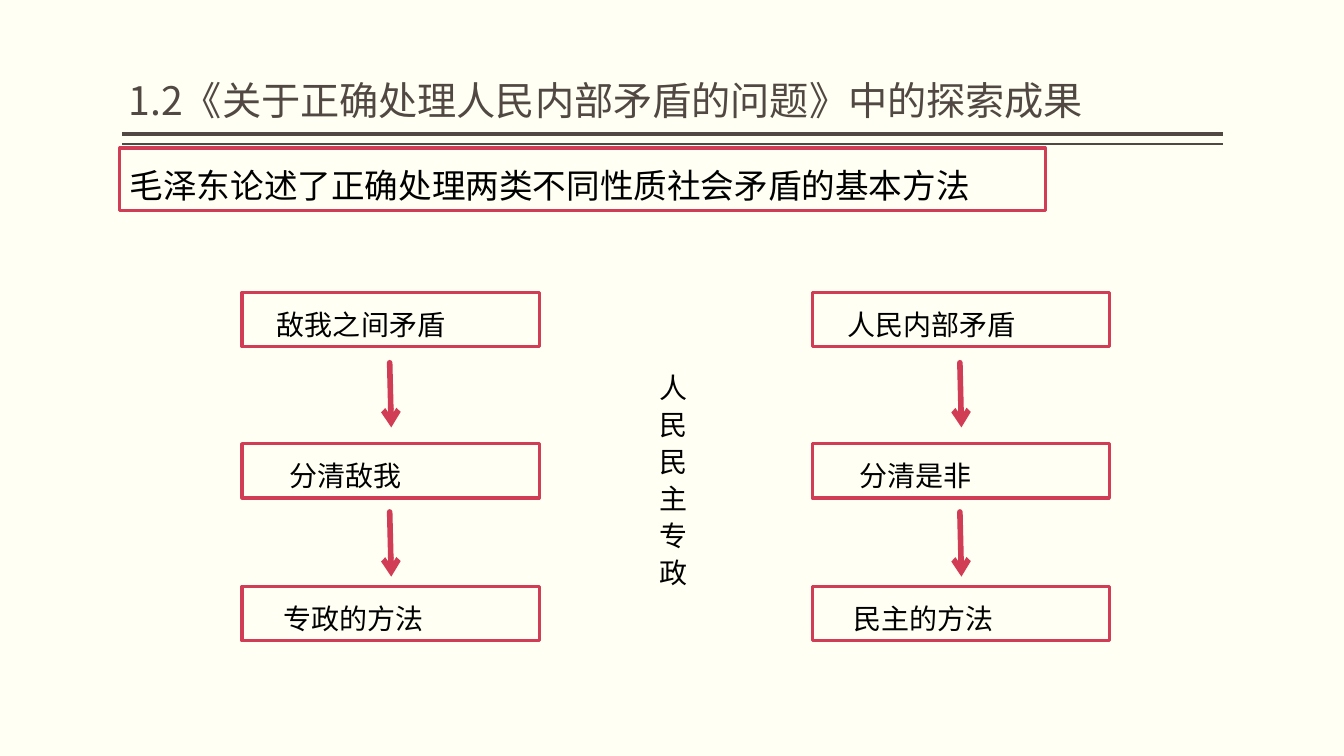
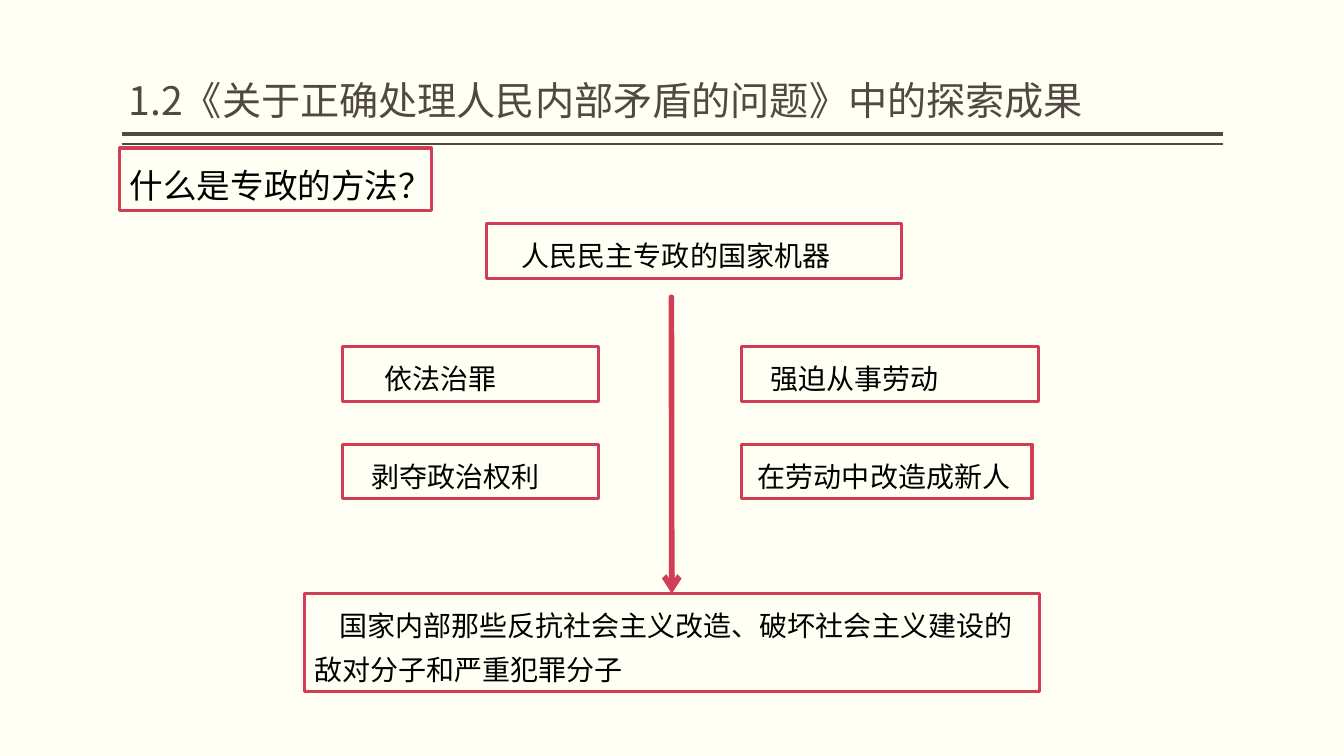
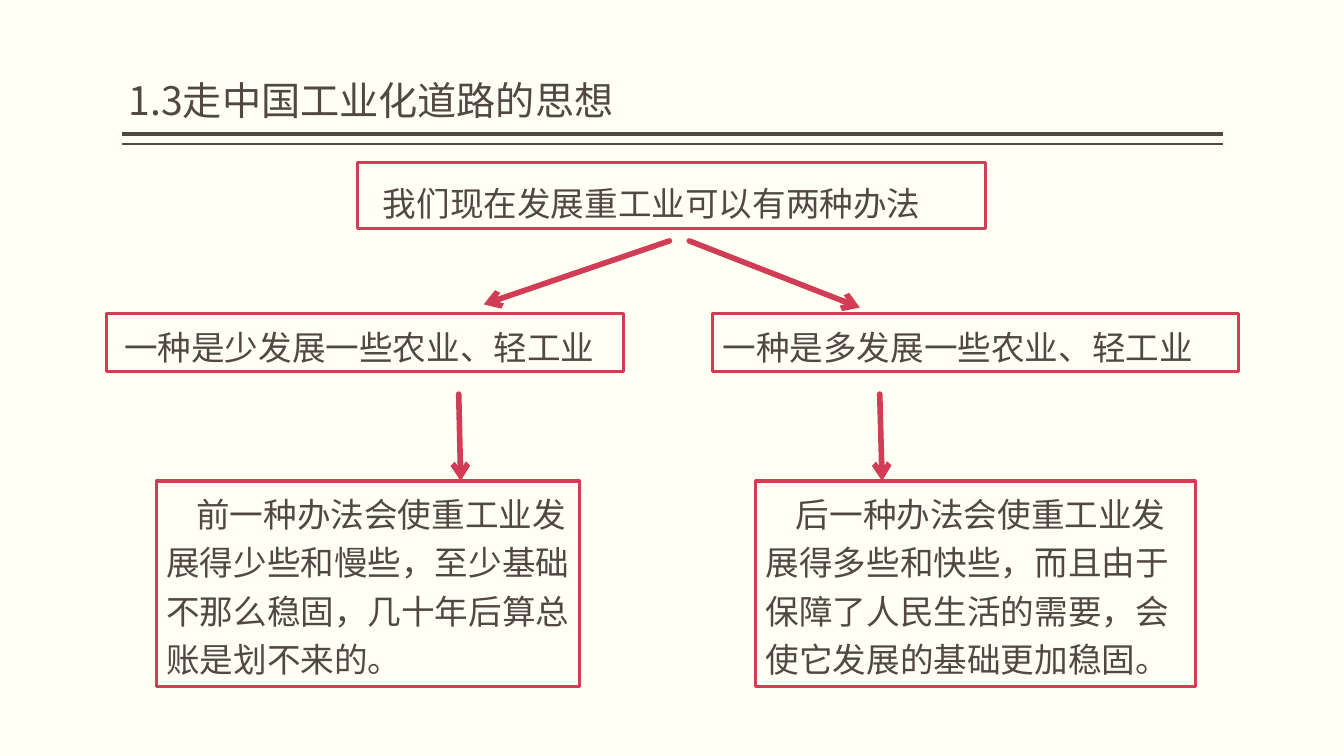
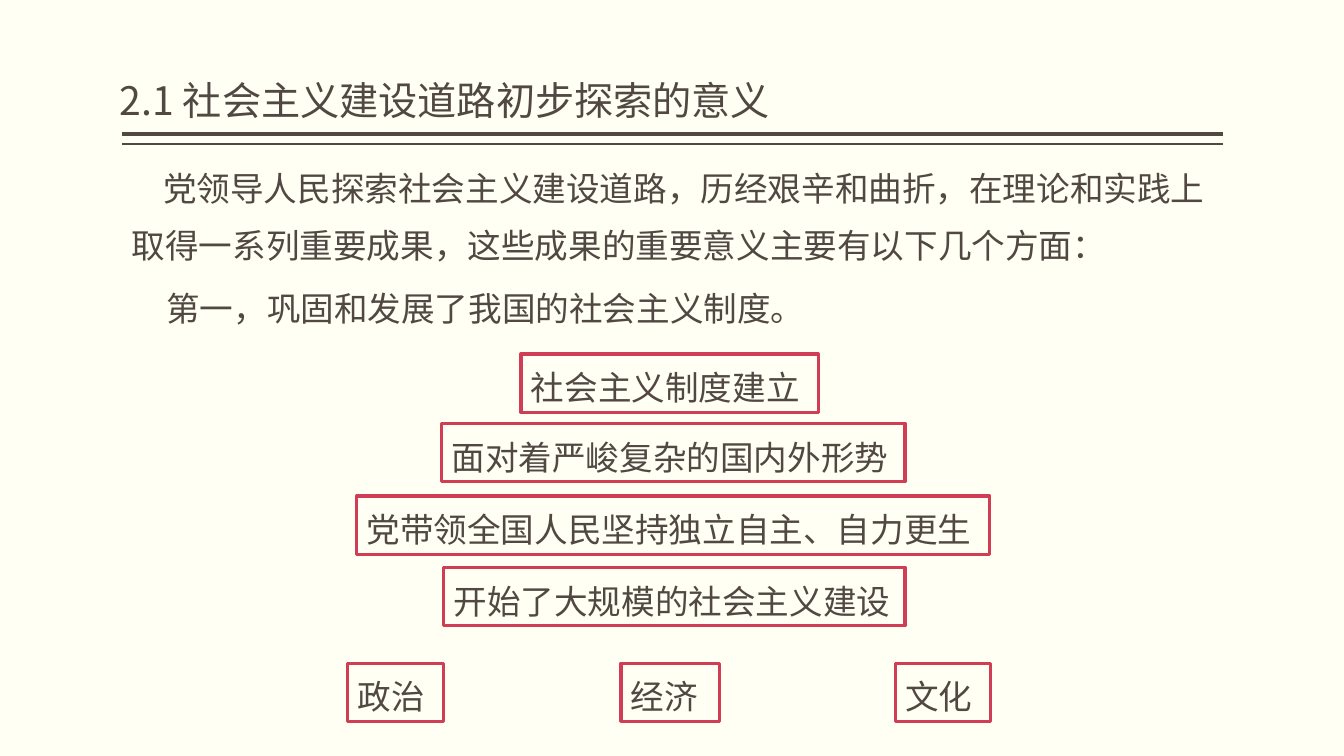
from dataclasses import dataclass

from lxml.etree import SubElement
from pptx import Presentation
from pptx.dml.color import RGBColor
from pptx.enum.shapes import MSO_CONNECTOR, MSO_SHAPE
from pptx.enum.text import MSO_ANCHOR, MSO_AUTO_SIZE, PP_ALIGN
from pptx.oxml.ns import qn
from pptx.util import Cm, Pt


@dataclass(frozen=True)
class Theme:
    paper = RGBColor(0xFF, 0xFF, 0xF3)
    brown = RGBColor(0x51, 0x48, 0x43)
    red = RGBColor(0xD1, 0x3D, 0x55)
    black = RGBColor(0, 0, 0)
    latin = "Arial"
    asian = "Noto Sans CJK SC"
    title = Pt(28)
    large = Pt(24)
    small = Pt(20)
    frame = Pt(2.25)
    arrow = Pt(4)


theme = Theme()


def label(slide, text, place, size=theme.large, color=theme.brown,
          spacing=1.2, indent=0, framed=True):
    """Add text at place (left, top, width, height in cm), in a red frame if framed."""
    place = [Cm(n) for n in place]
    if framed:
        box = slide.shapes.add_shape(MSO_SHAPE.RECTANGLE, *place)
        box.shadow.inherit = False
        box.fill.background()
        box.line.color.rgb = theme.red
        box.line.width = theme.frame
    else:
        box = slide.shapes.add_textbox(*place)
    frame = box.text_frame
    frame.text = text
    frame.word_wrap = True
    frame.vertical_anchor = MSO_ANCHOR.TOP
    para = frame.paragraphs[0]
    para.alignment = PP_ALIGN.LEFT
    para.line_spacing = spacing
    props = para._p.get_or_add_pPr()
    props.set("marL", "0")
    props.set("indent", str(Cm(indent)))
    font = para.runs[0].font
    font.size = size
    font.color.rgb = color
    font.name = theme.latin
    SubElement(para.runs[0]._r.rPr, qn("a:ea"), typeface=theme.asian)
    return box


def stroke(slide, start, end, color=theme.red, width=theme.arrow, head=True):
    """Add a straight line between two points in cm, with an arrowhead if head."""
    line = slide.shapes.add_connector(
        MSO_CONNECTOR.STRAIGHT, *[Cm(n) for n in (*start, *end)])
    line.line.color.rgb = color
    line.line.width = width
    props = line.element.spPr
    if head:
        edge = props.find(qn("a:ln"))
        edge.set("cap", "rnd")
        SubElement(edge, qn("a:tailEnd"), type="arrow")
    SubElement(props, qn("a:effectLst"))
    return line


prs = Presentation()
prs.slide_width, prs.slide_height = Cm(33.87), Cm(19.05)

# Shared look: background, title place, double rule
master = prs.slide_master
master.background.fill.solid()
master.background.fill.fore_color.rgb = theme.paper
layout = prs.slide_layouts.get_by_name("Title Only")
head = layout.placeholders[0]
head.left, head.top, head.width, head.height = Cm(3.02), Cm(0.2), Cm(27.74), Cm(3.05)

essay = "1.2《关于正确处理人民内部矛盾的问题》中的探索成果"
titles = [
    (essay, 0.22),
    (essay, 0.22),
    ("1.3走中国工业化道路的思想", 0.22),
    ("2.1 社会主义建设道路初步探索的意义", 0),
]
slides = []
for text, indent in titles:
    slide = prs.slides.add_slide(layout)
    frame = slide.shapes.title.text_frame
    frame.text = text
    frame.auto_size = MSO_AUTO_SIZE.NONE
    frame.vertical_anchor = MSO_ANCHOR.BOTTOM
    frame.margin_left = frame.margin_right = 0
    para = frame.paragraphs[0]
    para.alignment = PP_ALIGN.LEFT
    para.line_spacing = 0.9
    para._p.get_or_add_pPr().set("indent", str(Cm(indent)))
    font = para.runs[0].font
    font.size = theme.title
    font.color.rgb = theme.brown
    font.name = theme.asian
    SubElement(para.runs[0]._r.rPr, qn("a:ea"), typeface=theme.asian)
    slides.append(slide)

for num, (top, width) in enumerate([(3.38, Pt(3)), (3.63, Pt(1))], 20):
    rule = stroke(slides[0], (30.81, top), (3.07, top), theme.brown, width, head=False)
    rule.element.nvCxnSpPr.cNvPr.id = num
    master.element.cSld.spTree.append(rule.element)

dark = {"color": theme.black, "spacing": 1.3}
note = {**dark, "size": theme.small}

# Slide 1: two kinds of contradiction
slide = slides[0]
label(slide, "毛泽东论述了正确处理两类不同性质社会矛盾的基本方法",
      (3.02, 3.73, 23.32, 1.57), **dark)
flows = [
    (6.1, ["敌我之间矛盾", "分清敌我", "专政的方法"]),
    (20.47, ["人民内部矛盾", "分清是非", "民主的方法"]),
]
for left, steps in flows:
    for text, top, indent in zip(steps, (7.37, 11.18, 14.78), (0.63, 0.95, 0.79)):
        label(slide, text, (left, top, 7.49, 1.37), indent=indent, **note)
    for top in (9.14, 12.9):
        stroke(slide, (left + 3.72, top), (left + 3.76, top + 1.63))
label(slide, "人民民主专政", (16.36, 9.14, 1.17, 5.89), theme.small,
      theme.black, 1.1, framed=False)

# Slide 2: the method of dictatorship
slide = slides[1]
label(slide, "什么是专政的方法？", (3.02, 3.73, 7.85, 1.57), **dark)
label(slide, "人民民主专政的国家机器", (12.27, 5.64, 10.44, 1.37), indent=0.63, **note)
means = [
    ("依法治罪", 8.64, 8.74, 6.45, 0.79),
    ("强迫从事劳动", 18.69, 8.74, 7.49, 0.47),
    ("剥夺政治权利", 8.64, 11.2, 6.45, 0.47),
    ("在劳动中改造成新人", 18.69, 11.2, 7.32, 0.16),
]
for text, left, top, width, indent in means:
    label(slide, text, (left, top, width, 1.37), indent=indent, **note)
target = label(slide, "国家内部那些反抗社会主义改造、破坏社会主义建设的敌对分子和严重犯罪分子",
               (7.67, 14.96, 18.52, 2.46), indent=0.63, **note)
stroke(slide, (16.92, 7.49), (16.89, 14.96)).end_connect(target, 0)

# Slide 3: two ways to develop heavy industry
slide = slides[2]
label(slide, "我们现在发展重工业可以有两种办法", (9.02, 4.09, 15.82, 1.68),
      spacing=1.4, indent=0.38)
ways = [
    ("一种是少发展一些农业、轻工业", (2.69, 7.9, 13.03, 1.47), 0.19),
    ("一种是多发展一些农业、轻工业", (17.96, 7.9, 13.26, 1.47), 0),
    ("前一种办法会使重工业发展得少些和慢些，至少基础不那么稳固，几十年后算总账是划不来的。",
     (3.94, 12.12, 10.67, 5.18), 0.76),
    ("后一种办法会使重工业发展得多些和快些，而且由于保障了人民生活的需要，会使它发展的基础更加稳固。",
     (19.05, 12.12, 11.07, 5.18), 0.76),
]
for text, place, indent in ways:
    label(slide, text, place, indent=indent)
for start, end in [
    ((16.87, 6.07), (12.19, 7.67)),
    ((17.37, 6.07), (21.67, 7.75)),
    ((11.56, 9.93), (11.61, 12.12)),
    ((22.17, 9.93), (22.23, 12.12)),
]:
    stroke(slide, start, end)

# Slide 4: meaning of the first exploration
slide = slides[3]
label(slide, "党领导人民探索社会主义建设道路，历经艰辛和曲折，在理论和实践上取得一系列重要成果，"
      "这些成果的重要意义主要有以下几个方面：",
      (3.07, 3.71, 27.71, 3.12), spacing=1.4, indent=0.79, framed=False)
label(slide, "第一，巩固和发展了我国的社会主义制度。",
      (3.15, 6.83, 27.71, 1.57), spacing=1.3, indent=0.79, framed=False)
points = [
    ("社会主义制度建立", 13.13, 8.92, 7.49),
    ("面对着严峻复杂的国内外形势", 11.13, 10.67, 11.68),
    ("党带领全国人民坚持独立自主、自力更生", 8.99, 12.5, 15.95),
    ("开始了大规模的社会主义建设", 11.18, 14.3, 11.63),
    ("政治", 8.76, 16.71, 2.41),
    ("经济", 15.65, 16.71, 2.49),
    ("文化", 22.56, 16.71, 2.41),
]
for text, left, top, width in points:
    label(slide, text, (left, top, width, 1.47))

prs.save("out.pptx")
